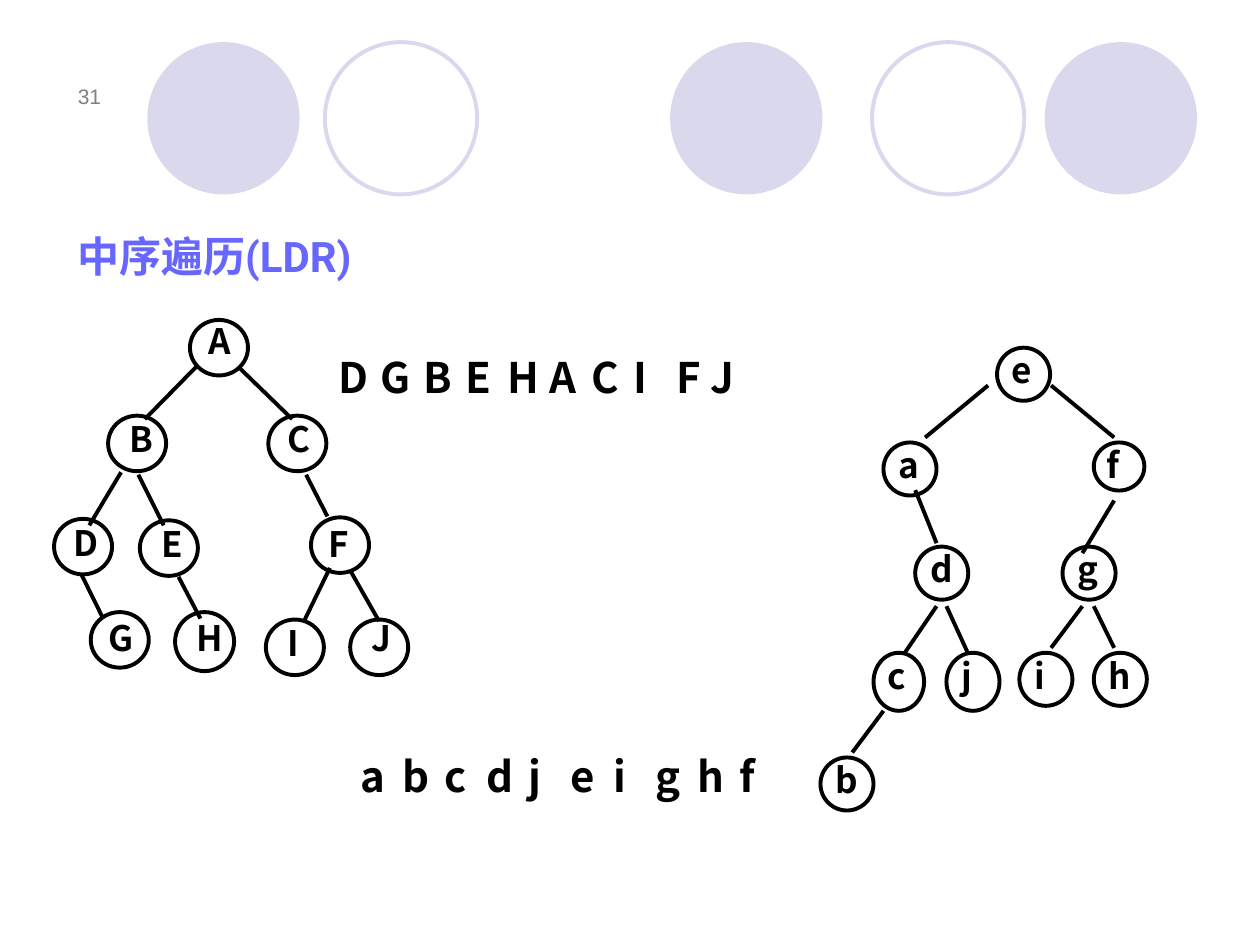
from lxml import etree
from pptx import Presentation
from pptx.dml.color import RGBColor
from pptx.enum.shapes import MSO_CONNECTOR, MSO_SHAPE
from pptx.enum.text import MSO_ANCHOR, MSO_AUTO_SIZE, PP_ALIGN
from pptx.oxml.ns import qn
from pptx.util import Cm, Pt

OVAL = MSO_SHAPE.OVAL
STRAIGHT = MSO_CONNECTOR.STRAIGHT
TOP, BOTTOM = MSO_ANCHOR.TOP, MSO_ANCHOR.BOTTOM
GROW = MSO_AUTO_SIZE.SHAPE_TO_FIT_TEXT
LEFT, RIGHT, JUSTIFY = PP_ALIGN.LEFT, PP_ALIGN.RIGHT, PP_ALIGN.JUSTIFY

BLACK = RGBColor(0x00, 0x00, 0x00)
GREY = RGBColor(0x80, 0x80, 0x80)
LAVENDER = RGBColor(0xD9, 0xD8, 0xEC)
VIOLET = RGBColor(0x67, 0x67, 0xFF)
CJK_FONT = "Noto Sans CJK SC"
LINE_WIDTH = Pt(2.25)

# Nodes: label, left, top, width, height, label shift right, label shift up (cm)
UPPER_NODES = [
    ("A", 2.74, 0.13, 1.17, 1.12, 0.13, 0.13),
    ("B", 1.09, 2.06, 1.17, 1.12, 0.18, 0.08),
    ("C", 4.32, 2.06, 1.17, 1.12, 0.13, 0.08),
    ("D", 0, 4.14, 1.17, 1.12, 0.15, 0.08),
    ("E", 1.73, 4.17, 1.17, 1.12, 0.18, 0.08),
    ("F", 5.18, 4.11, 1.17, 1.12, 0.1, 0.03),
    ("G", 0.74, 6.02, 1.17, 1.12, 0.1, 0.03),
    ("H", 2.44, 6.02, 1.19, 1.19, 0.18, 0.03),
    ("I", 4.27, 6.17, 1.17, 1.12, 0.18, 0.08),
    ("J", 5.97, 6.17, 1.17, 1.12, 0.18, 0.18),
]
# Edges: from x, from y, to x, to y (cm)
UPPER_EDGES = [
    (2.87, 1.07, 1.83, 2.13), (3.73, 1.09, 4.8, 2.13),
    (1.35, 3.2, 0.71, 4.27), (1.7, 3.25, 2.21, 4.27),
    (5.08, 3.25, 5.51, 4.09), (0.56, 5.28, 0.99, 6.15),
    (2.51, 5.31, 2.95, 6.15), (5.56, 5.13, 5.03, 6.22),
    (5.97, 5.18, 6.55, 6.2),
]
LOWER_NODES = [
    ("e", 3.56, 0.1, 1.07, 1.07, 0.05, 0.1),
    ("a", 1.27, 2.01, 1.07, 1.07, 0.05, 0.1),
    ("f", 5.51, 2.01, 1.02, 0.97, 0, 0.1),
    ("d", 1.91, 4.11, 1.07, 1.07, 0.05, 0.1),
    ("g", 4.88, 4.11, 1.07, 1.07, 0.05, 0.1),
    ("c", 1.07, 6.25, 1.02, 1.17, 0.03, 0.1),
    ("j", 2.54, 6.25, 1.07, 1.17, 0.05, 0.1),
    ("i", 4.01, 6.25, 1.07, 1.07, 0.05, 0.1),
    ("h", 5.51, 6.25, 1.07, 1.07, 0.05, 0.1),
    ("b", 0, 8.36, 1.07, 1.07, 0.05, 0.1),
]
LOWER_EDGES = [
    (3.38, 0.86, 2.11, 1.91), (4.65, 0.86, 5.92, 1.91),
    (1.91, 2.97, 2.34, 4.04), (5.92, 3.18, 5.28, 4.24),
    (2.34, 5.31, 1.7, 6.25), (2.54, 5.31, 2.97, 6.25),
    (5.28, 5.31, 4.65, 6.15), (5.51, 5.31, 5.92, 6.15),
    (1.27, 7.42, 0.64, 8.26),
]


def format_text(sp, text, size, color, font, bold, align, anchor=TOP):
    tf = sp.text_frame
    tf.text = text
    tf.word_wrap = True
    tf.vertical_anchor = anchor
    p = tf.paragraphs[0]
    p.alignment = align
    f = p.runs[0].font
    f.size, f.bold, f.name = Pt(size), bold, font
    f.color.rgb = color
    # East Asian typeface
    ea = etree.SubElement(p.runs[0].font._element, qn("a:ea"))
    ea.set("typeface", CJK_FONT)
    return tf


def add_letter(shapes, text, x, y, w, h, size):
    sp = shapes.add_textbox(Cm(x), Cm(y), Cm(w), Cm(h))
    tf = format_text(sp, text, size, BLACK, CJK_FONT, True, JUSTIFY)
    tf.auto_size = GROW


def add_circle(shapes, x, y, w, h, line=None, fill=None):
    sp = shapes.add_shape(OVAL, Cm(x), Cm(y), Cm(w), Cm(h))
    sp.shadow.inherit = False
    if fill is None:
        sp.fill.background()
        sp.line.color.rgb = line
        sp.line.width = LINE_WIDTH
    else:
        sp.fill.solid()
        sp.fill.fore_color.rgb = fill
        sp.line.fill.background()


def add_edge(shapes, x1, y1, x2, y2):
    line = shapes.add_connector(STRAIGHT, Cm(x1), Cm(y1), Cm(x2), Cm(y2))
    line.line.color.rgb = BLACK
    line.line.width = LINE_WIDTH
    etree.SubElement(line._element.spPr, qn("a:effectLst"))


def add_header(s, left, top):
    # Row of decorative circles
    shapes = s.shapes.add_group_shape().shapes
    for x, filled in ((2.97, True), (6.55, False), (13.51, True),
                      (17.58, False), (21.06, True)):
        add_circle(shapes, left + x, top, 3.07, 3.07, line=LAVENDER,
                   fill=LAVENDER if filled else None)
    # Slide number
    sp = s.shapes.add_textbox(Cm(left + 0.89), Cm(top + 0.27), Cm(1.4), Cm(1.19))
    format_text(sp, "31", 12, GREY, "Arial", False, RIGHT, BOTTOM)


def add_title(s, left, top, width, height):
    sp = s.shapes.title
    sp.left, sp.top, sp.width, sp.height = Cm(left), Cm(top), Cm(width), Cm(height)
    tf = format_text(sp, "中序遍历(LDR)", 24, VIOLET, "Roboto", True, LEFT)
    tf.word_wrap = False
    tf.auto_size = GROW


def add_tree(s, left, top, nodes, edges):
    shapes = s.shapes.add_group_shape().shapes
    for x1, y1, x2, y2 in edges:
        add_edge(shapes, left + x1, top + y1, left + x2, top + y2)
    for label, x, y, w, h, right, up in nodes:
        add_circle(shapes, left + x, top + y, w, h, line=BLACK)
        add_letter(shapes, label, left + x + right, top + y - up, 1.07, 1.09, 20)


def add_sequence(s, left, top, items):
    step = 0.85
    for i, item in enumerate(items):
        width = 1.07 + step * (len(item) - 1) / 2
        add_letter(s.shapes, item, left + i * step, top, width, 1.27, 24)


def main():
    prs = Presentation()
    prs.slide_width, prs.slide_height = Cm(25.4), Cm(19.05)
    s = prs.slides.add_slide(prs.slide_layouts[5])
    add_header(s, 0, 0.85)
    add_title(s, 1.3, 4.52, 6.43, 1.27)
    # Each tree with its in-order sequence
    add_tree(s, 1.09, 6.32, UPPER_NODES, UPPER_EDGES)
    add_sequence(s, 6.58, 6.96, [*"DGBEHACI", "F J"])
    add_tree(s, 16.54, 6.91, LOWER_NODES, LOWER_EDGES)
    add_sequence(s, 7.01, 15.01, "abcdjeighf")
    prs.save("out.pptx")


if __name__ == "__main__":
    main()
